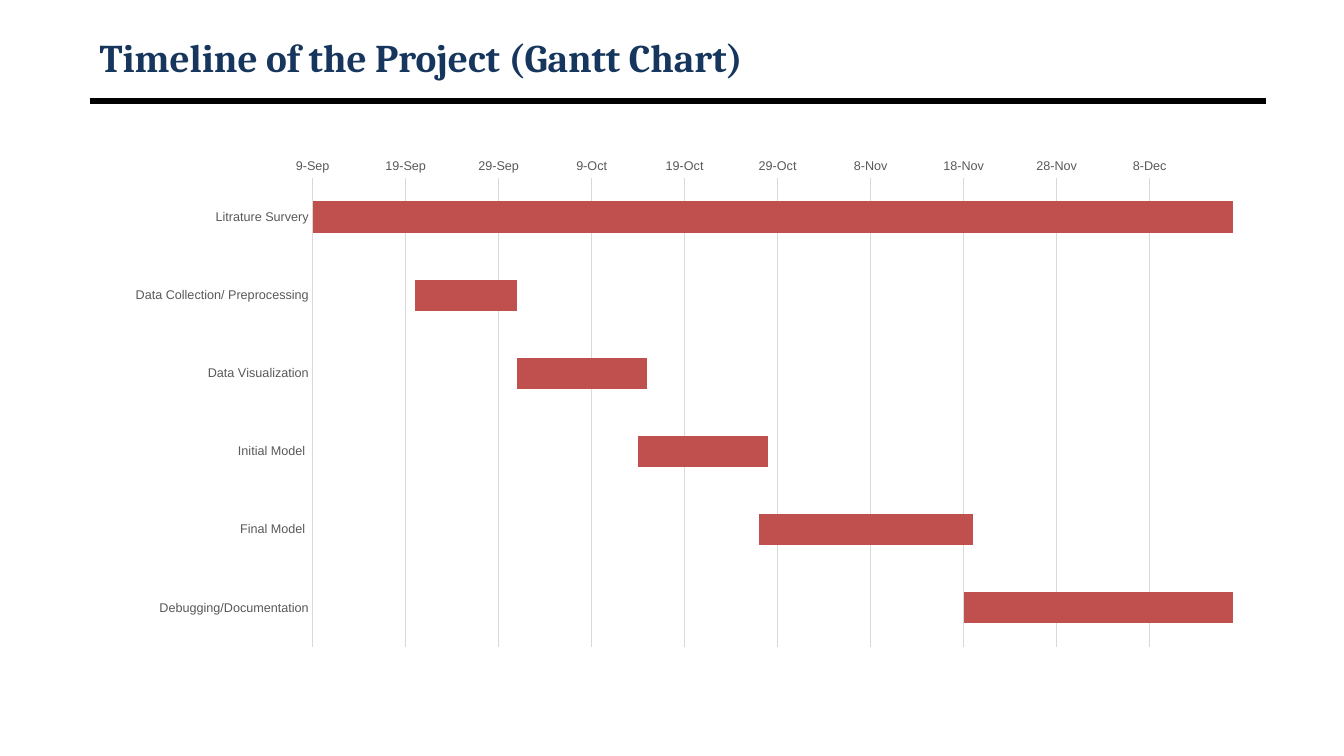
from lxml import etree
from pptx import Presentation
from pptx.chart.data import CategoryChartData
from pptx.dml.color import RGBColor
from pptx.enum.chart import XL_CHART_TYPE as ChartType, XL_TICK_MARK as TickMark
from pptx.enum.shapes import MSO_CONNECTOR as Connector
from pptx.enum.text import MSO_ANCHOR as Anchor
from pptx.oxml.ns import qn
from pptx.util import Inches, Pt

NAVY = RGBColor(0x17, 0x36, 0x5D)
BLACK = RGBColor(0x00, 0x00, 0x00)
BRICK = RGBColor(0xC0, 0x50, 0x4D)
LABEL_GREY = RGBColor(0x59, 0x59, 0x59)
GRID_GREY = RGBColor(0xD9, 0xD9, 0xD9)

FIRST_DAY = 45544  # 9 September 2024 as a spreadsheet date
DAYS_SHOWN = 99
TASKS = [  # task, days after the first day, duration in days
    ("Litrature Survery", 0, 100),
    ("Data Collection/ Preprocessing", 11, 11),
    ("Data Visualization", 22, 14),
    ("Initial Model ", 35, 14),
    ("Final Model ", 48, 23),
    ("Debugging/Documentation", 70, 29),
]

prs = Presentation()
prs.slide_width, prs.slide_height = Inches(13.33), Inches(7.5)
slide = prs.slides.add_slide(prs.slide_layouts[6])
margin = Inches(0.89)
content_width = Inches(11.67)


def add_text(text, left, top, width, height, *, size, font, color, bold=False):
    frame = slide.shapes.add_textbox(left, top, width, height).text_frame
    frame.word_wrap = True
    frame.vertical_anchor = Anchor.MIDDLE
    run = frame.paragraphs[0].add_run()
    run.text = text
    run.font.size, run.font.name, run.font.bold = Pt(size), font, bold
    run.font.color.rgb = color


# Heading and its rule
rule = slide.shapes.add_connector(
    Connector.STRAIGHT, margin, Inches(1), margin + content_width, Inches(1))
rule.line.color.rgb = BLACK
rule.line.width = Pt(4.5)
etree.SubElement(rule.element.spPr, qn("a:effectLst"))
add_text("Timeline of the Project (Gantt Chart)", margin, Inches(0.3),
         content_width, Inches(0.53), size=28, font="Cambria", color=NAVY, bold=True)

# Gantt chart: an unfilled start series carries the duration bars
schedule = CategoryChartData()
schedule.categories = [task for task, _, _ in TASKS]
schedule.add_series("Series 1", [FIRST_DAY + offset for _, offset, _ in TASKS])
schedule.add_series("Series 2", [days for _, _, days in TASKS])
gantt = slide.shapes.add_chart(
    ChartType.BAR_STACKED, Inches(1.13), Inches(1.48), Inches(11.33), Inches(5.03),
    schedule).chart
gantt.has_legend = False
gantt.has_title = False
gantt.font.size, gantt.font.name = Pt(10), "Arial"
gantt.font.color.rgb = BLACK

bars = gantt.plots[0]
bars.gap_width, bars.overlap = 150, 100
bars.vary_by_categories = False
starts, durations = bars.series
starts.format.fill.background()
starts.format.line.fill.background()
durations.format.fill.solid()
durations.format.fill.fore_color.rgb = BRICK
durations.format.line.fill.background()

tasks_axis, dates_axis = gantt.category_axis, gantt.value_axis
for axis in (tasks_axis, dates_axis):
    axis.major_tick_mark = axis.minor_tick_mark = TickMark.NONE
    labels = axis.tick_labels
    labels.font.size, labels.font.name = Pt(9), "Arial"
    labels.font.color.rgb = LABEL_GREY

tasks_axis.reverse_order = True
dates_axis.minimum_scale = FIRST_DAY
dates_axis.maximum_scale = FIRST_DAY + DAYS_SHOWN
dates_axis.major_unit = 10
dates_axis.has_major_gridlines = True
dates_axis.tick_labels.number_format = "d\\-mmm"
dates_axis.tick_labels.number_format_is_linked = False
dates_axis.format.line.fill.background()
for line in (tasks_axis.format.line, dates_axis.major_gridlines.format.line):
    line.color.rgb = GRID_GREY
    line.width = Pt(0.75)

# Plot area as shares of the chart frame
plot_area = gantt.element.find(".//" + qn("c:plotArea"))
for old_layout in plot_area.findall(qn("c:layout")):
    plot_area.remove(old_layout)
layout = etree.Element(qn("c:layout"))
plot_area.insert(0, layout)
manual = etree.SubElement(layout, qn("c:manualLayout"))
for tag, value in (("layoutTarget", "inner"), ("xMode", "edge"), ("yMode", "edge"),
                   ("x", "0.174"), ("y", "0.057"), ("w", "0.806"), ("h", "0.925")):
    etree.SubElement(manual, qn("c:" + tag)).set("val", value)

prs.save("out.pptx")
